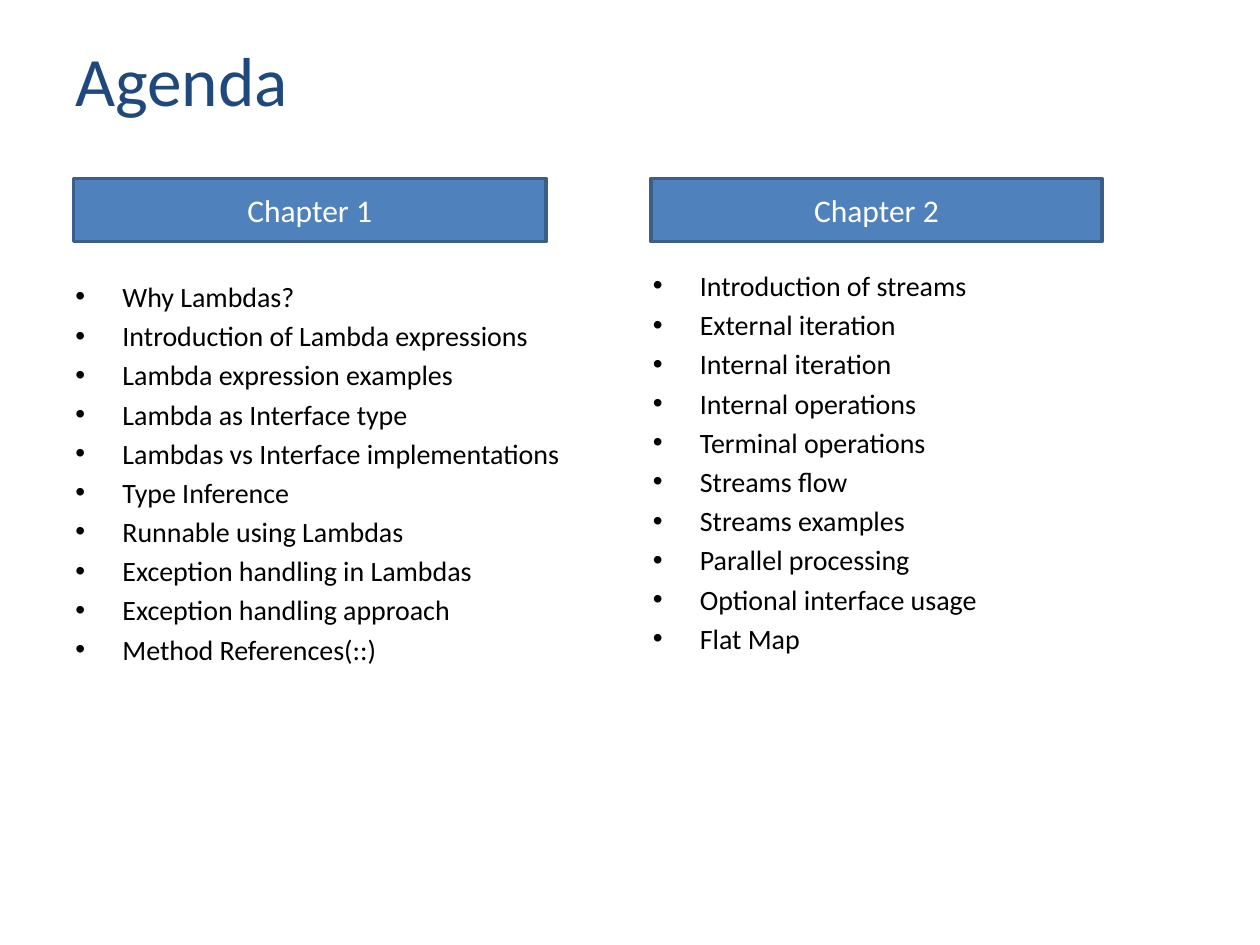
"""Build the agenda slide with two chapter columns."""
from dataclasses import dataclass

from lxml import etree
from pptx import Presentation
from pptx.dml.color import RGBColor
from pptx.enum.shapes import MSO_SHAPE
from pptx.enum.text import MSO_ANCHOR, PP_ALIGN
from pptx.oxml.ns import qn
from pptx.util import Cm, Pt

RECTANGLE = MSO_SHAPE.RECTANGLE
TOP, MIDDLE = MSO_ANCHOR.TOP, MSO_ANCHOR.MIDDLE
LEFT, CENTER = PP_ALIGN.LEFT, PP_ALIGN.CENTER


@dataclass(frozen=True)
class Theme:
    font: str = "Calibri"
    title_color: str = "1F497D"
    body_color: str = "000000"
    header_color: str = "FFFFFF"
    header_fill: str = "4F81BD"
    header_line: str = "3A5F8C"
    title_size: float = 39.6
    header_size: float = 18
    body_size: float = 16


theme = Theme()


def add_text(paragraph, text, size, color, alignment=LEFT):
    paragraph.alignment = alignment
    run = paragraph.add_run()
    run.text = text
    run.font.name = theme.font
    run.font.size = Pt(size)
    run.font.color.rgb = RGBColor.from_string(color)


def add_bullet(paragraph):
    properties = paragraph._p.get_or_add_pPr()
    properties.set("marL", str(Cm(0.95)))
    properties.set("indent", str(-Cm(0.95)))
    spacing = etree.SubElement(properties, qn("a:spcBef"))
    etree.SubElement(spacing, qn("a:spcPct"), val="20000")
    etree.SubElement(properties, qn("a:buFont"), typeface="Arial")
    etree.SubElement(properties, qn("a:buChar"), char="•")


presentation = Presentation()
presentation.slide_width = Cm(25.4)
presentation.slide_height = Cm(19.05)
slide = presentation.slides.add_slide(presentation.slide_layouts[6])

title = slide.shapes.add_textbox(Cm(1.27), Cm(0.76), Cm(22.86), Cm(3.18))
title_frame = title.text_frame
title_frame.word_wrap = True
title_frame.vertical_anchor = TOP
title_frame.margin_top = Cm(0)
add_text(title_frame.paragraphs[0], "Agenda", theme.title_size, theme.title_color)

chapters = [
    ("Chapter 1", 1.48, 9.53, 1.27, 5.51, [
        "Why Lambdas?",
        "Introduction of Lambda expressions",
        "Lambda expression examples",
        "Lambda as Interface type",
        "Lambdas vs Interface implementations",
        "Type Inference",
        "Runnable using Lambdas",
        "Exception handling in Lambdas",
        "Exception handling approach",
        "Method References(::)",
    ]),
    ("Chapter 2", 13.12, 9.1, 12.91, 5.29, [
        "Introduction of streams",
        "External iteration",
        "Internal iteration",
        "Internal operations",
        "Terminal operations",
        "Streams flow",
        "Streams examples",
        "Parallel processing",
        "Optional interface usage",
        "Flat Map",
    ]),
]
body_bottom = 17.02

for name, header_left, header_width, body_left, body_top, topics in chapters:
    body = slide.shapes.add_textbox(
        Cm(body_left), Cm(body_top), Cm(11.22), Cm(body_bottom - body_top))
    body_frame = body.text_frame
    body_frame.word_wrap = True
    for index, topic in enumerate(topics):
        paragraph = body_frame.add_paragraph() if index else body_frame.paragraphs[0]
        add_text(paragraph, topic, theme.body_size, theme.body_color)
        add_bullet(paragraph)

    header = slide.shapes.add_shape(
        RECTANGLE, Cm(header_left), Cm(3.6), Cm(header_width), Cm(1.27))
    header.shadow.inherit = False
    header.fill.solid()
    header.fill.fore_color.rgb = RGBColor.from_string(theme.header_fill)
    header.line.color.rgb = RGBColor.from_string(theme.header_line)
    header.line.width = Pt(2)
    header.text_frame.vertical_anchor = MIDDLE
    add_text(header.text_frame.paragraphs[0], name,
             theme.header_size, theme.header_color, CENTER)

presentation.save("out.pptx")
